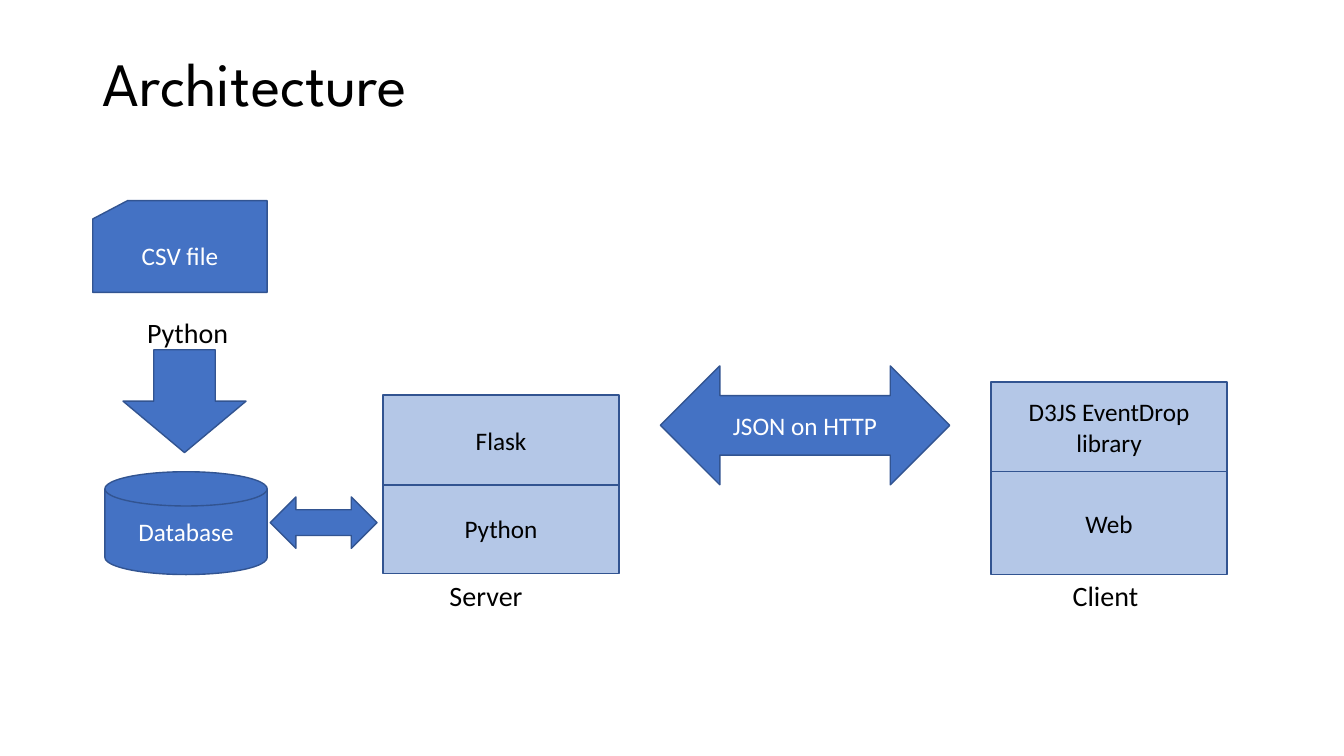
from pptx import Presentation
from pptx.dml.color import RGBColor
from pptx.enum import shapes, text
from pptx.util import Inches, Pt

BLUE, PALE, OUTLINE = "4472C4", "B4C7E7", "325491"
WHITE, BLACK = "FFFFFF", "000000"
Kind = shapes.MSO_SHAPE


def color(value):
    return RGBColor.from_string(value)


def write(shape, wording, size, font, ink, align, anchor, wrap):
    frame = shape.text_frame
    frame.text = wording
    frame.word_wrap = wrap
    frame.vertical_anchor = anchor
    paragraph = frame.paragraphs[0]
    paragraph.alignment = align
    for run in paragraph.runs:
        run.font.size = Pt(size)
        run.font.name = font
        run.font.color.rgb = color(ink)


presentation = Presentation()
presentation.slide_width = Inches(13.33)
presentation.slide_height = Inches(7.5)
slide = presentation.slides.add_slide(presentation.slide_layouts[6])

title = slide.shapes.add_textbox(Inches(0.92), Inches(0.4), Inches(11.5), Inches(0.92))
write(title, "Architecture", 44, "League Spartan", BLACK,
      text.PP_ALIGN.LEFT, text.MSO_ANCHOR.MIDDLE, True)
title.text_frame.paragraphs[0].line_spacing = 0.9

server_left, client_left, stack_width = 3.8, 9.83, 2.34
blocks = [
    (Kind.FLOWCHART_MAGNETIC_DISK, "Database", 1.04, 4.68, 1.61, 1.02, BLUE, WHITE),
    (Kind.FLOWCHART_CARD, "CSV file", 0.92, 1.99, 1.73, 0.91, BLUE, WHITE),
    (Kind.DOWN_ARROW, "", 1.22, 3.47, 1.22, 1.02, BLUE, WHITE),
    (Kind.RECTANGLE, "Python", server_left, 4.8, stack_width, 0.89, PALE, BLACK),
    (Kind.RECTANGLE, "Web", client_left, 4.68, stack_width, 1.02, PALE, BLACK),
    (Kind.LEFT_RIGHT_ARROW, "JSON on HTTP", 6.55, 3.63, 2.87, 1.18, BLUE, WHITE),
    (Kind.RECTANGLE, "Flask", server_left, 3.92, stack_width, 0.89, PALE, BLACK),
    (Kind.RECTANGLE, "D3JS EventDrop library", client_left, 3.79, stack_width, 0.89, PALE, BLACK),
    (Kind.LEFT_RIGHT_ARROW, "", 2.68, 4.93, 1.06, 0.51, BLUE, WHITE),
]
for kind, wording, left, top, width, height, fill, ink in blocks:
    block = slide.shapes.add_shape(kind, Inches(left), Inches(top), Inches(width), Inches(height))
    block.shadow.inherit = False
    block.fill.solid()
    block.fill.fore_color.rgb = color(fill)
    block.line.color.rgb = color(OUTLINE)
    block.line.width = Pt(1)
    if wording:
        write(block, wording, 18, "Calibri", ink,
              text.PP_ALIGN.CENTER, text.MSO_ANCHOR.MIDDLE, True)

captions = [("Python", 1.36, 3.08, 1.01), ("Server", 4.36, 5.69, 0.93), ("Client", 10.54, 5.69, 0.86)]
for wording, left, top, width in captions:
    caption = slide.shapes.add_textbox(Inches(left), Inches(top), Inches(width), Inches(0.44))
    write(caption, wording, 20, "Calibri", BLACK,
          text.PP_ALIGN.LEFT, text.MSO_ANCHOR.TOP, False)
    caption.text_frame.auto_size = text.MSO_AUTO_SIZE.SHAPE_TO_FIT_TEXT

presentation.save("out.pptx")
